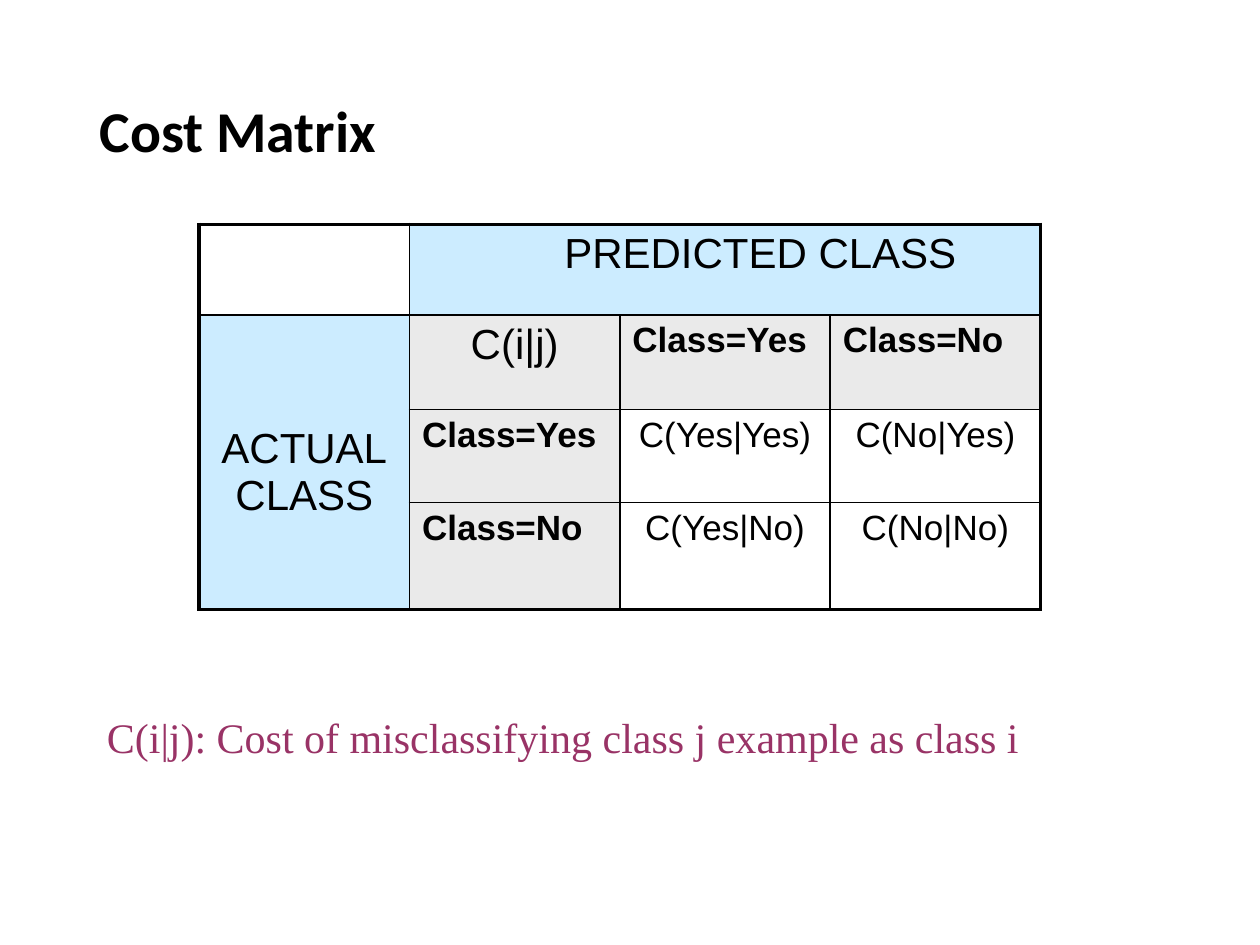
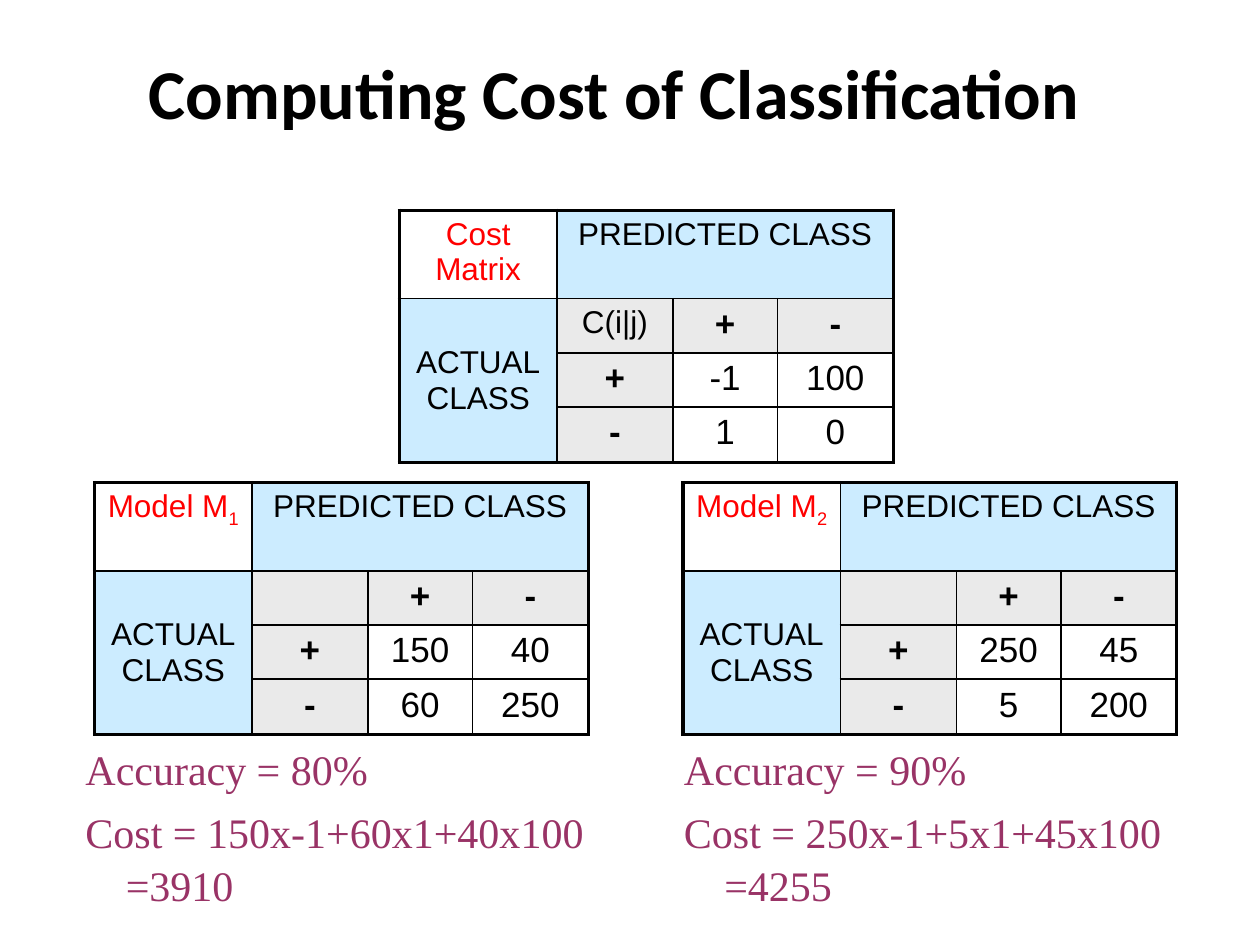
from lxml import etree
from pptx import Presentation
from pptx import util as u
from pptx.dml.color import RGBColor
from pptx.enum import text as t
from pptx.oxml.ns import qn

PX = 9144
COLOURS = {
    "ink": "000000",
    "paper": "FFFFFF",
    "class_band": "CCECFF",
    "label": "EAEAEA",
    "corner": "FF0000",
    "note": "993366",
}
CELL_FORMATS = {
    "corner": {"colour": "corner", "fill": "paper"},
    "band": {"colour": "ink", "fill": "class_band"},
    "symbol": {"colour": "ink", "fill": "label"},
    "label": {"colour": "ink", "fill": "label", "bold": True},
    "value": {"colour": "ink", "fill": "paper"},
}
CENTRE, LEFT = t.PP_ALIGN.CENTER, t.PP_ALIGN.LEFT


def px(length):
    return u.Emu(length * PX)


def colour(name):
    return RGBColor.from_string(COLOURS[name])


def set_all(target, values):
    for name, value in values.items():
        setattr(target, name, value)


class Deck:
    def __init__(self):
        self.presentation = Presentation()
        set_all(self.presentation, {"slide_width": px(1000), "slide_height": px(750)})
        self.slide = None

    def fill_paragraph(self, paragraph, content, size, font="Arial", ink="ink",
                       bold=False, align=LEFT):
        base, _, subscript = content.partition("_")
        paragraph.text = base
        paragraph.alignment = align
        if subscript:
            run = paragraph.add_run()
            run.text = subscript
            run.font._element.set("baseline", "-25000")
        for run in paragraph.runs:
            set_all(run.font, {"name": font, "size": u.Pt(size), "bold": bold})
            run.font.color.rgb = colour(ink)

    def add_slide(self, heading, box, size):
        self.slide = self.presentation.slides.add_slide(self.presentation.slide_layouts[5])
        title = self.slide.shapes.title
        set_all(title, dict(zip(("left", "top", "width", "height"), map(px, box))))
        set_all(title.text_frame, {
            "vertical_anchor": t.MSO_ANCHOR.MIDDLE,
            "auto_size": t.MSO_AUTO_SIZE.NONE,
        })
        self.fill_paragraph(title.text_frame.paragraphs[0], heading, size, "Calibri", bold=True)

    def add_note(self, box, lines):
        frame = self.slide.shapes.add_textbox(*map(px, box)).text_frame
        frame.word_wrap = True
        for index, line in enumerate(lines):
            paragraph = frame.add_paragraph() if index else frame.paragraphs[0]
            self.fill_paragraph(paragraph, line, 24, "Times New Roman", "note")
            set_all(paragraph, {"line_spacing": 1.05, "space_after": u.Pt(6)})
            properties = paragraph._p.get_or_add_pPr()
            properties.set("marL", str(px(32)))
            properties.set("indent", str(px(-32)))

    def add_borders(self, cell, row, column, last_row, last_column):
        bottom, right = row, column
        if cell.is_merge_origin:
            bottom += cell.span_height - 1
            right += cell.span_width - 1
        outer_edges = {
            "lnL": column == 0,
            "lnR": right == last_column,
            "lnT": row == 0,
            "lnB": bottom == last_row,
        }
        properties = cell._tc.get_or_add_tcPr()
        for side, outer in outer_edges.items():
            if cell.is_spanned and not outer:
                continue
            width = u.Pt(2.25 if outer else 1)
            line = etree.SubElement(properties, qn(f"a:{side}"), w=str(width))
            fill = etree.SubElement(line, qn("a:solidFill"))
            etree.SubElement(fill, qn("a:srgbClr"), val=COLOURS["ink"])

    def cell_kind(self, row, column):
        if row == 0 or column == 0:
            return "band" if row or column else "corner"
        if row == 1 and column == 1:
            return "symbol"
        return "label" if row == 1 or column == 1 else "value"

    def add_matrix(self, left, top, columns, rows, corner, symbol, classes, values,
                   band_size, label_align=CENTRE, band_shift=0, actual_shift=0):
        content = [
            [corner, "PREDICTED CLASS", "", ""],
            ["ACTUAL\vCLASS", symbol, *classes],
            *(["", name, *line] for name, line in zip(classes, values)),
        ]
        table = self.slide.shapes.add_table(
            len(rows), len(columns), px(left), px(top), px(sum(columns)), px(sum(rows))).table
        set_all(table, {"first_row": False, "horz_banding": False})
        for column, width in zip(table.columns, columns):
            column.width = px(width)
        for row, height in zip(table.rows, rows):
            row.height = px(height)
        table.cell(0, 1).merge(table.cell(0, 3))
        table.cell(1, 0).merge(table.cell(3, 0))
        for r, line in enumerate(content):
            for c, words in enumerate(line):
                cell = table.cell(r, c)
                kind = self.cell_kind(r, c)
                style = CELL_FORMATS[kind]
                self.add_borders(cell, r, c, len(rows) - 1, len(columns) - 1)
                cell.fill.solid()
                cell.fill.fore_color.rgb = colour(style["fill"])
                if words:
                    size = 20 if kind in ("label", "value") else band_size
                    self.fill_paragraph(cell.text_frame.paragraphs[0], words, size,
                                        ink=style["colour"], bold=style.get("bold", False),
                                        align=label_align if kind == "label" else CENTRE)
        table.cell(0, 1).margin_left = px(10 + band_shift)
        set_all(table.cell(1, 0), {
            "vertical_anchor": t.MSO_ANCHOR.MIDDLE,
            "margin_top": px(5 + actual_shift),
        })


def main():
    deck = Deck()
    deck.add_slide("Cost Matrix", (69, 30, 862, 145), 33)
    deck.add_matrix(
        158, 178, [167] * 4, [72, 75, 74, 85], "", "C(i|j)", ["Class=Yes", "Class=No"],
        [["C(Yes|Yes)", "C(No|Yes)"], ["C(Yes|No)", "C(No|No)"]],
        band_size=24, label_align=LEFT, band_shift=56, actual_shift=16)
    deck.add_note((75, 558, 858, 100),
                  ["C(i|j): Cost of misclassifying class j example as class i"])

    deck.add_slide("Computing Cost of Classification", (108, 25, 825, 96), 40)
    matrices = [
        (317, 167, "Cost Matrix", "C(i|j)", [["-1", "100"], ["1", "0"]]),
        (75, 383, "Model M_1", "", [["150", "40"], ["60", "250"]]),
        (542, 383, "Model M_2", "", [["250", "45"], ["5", "200"]]),
    ]
    for left, top, corner, symbol, values in matrices:
        deck.add_matrix(left, top, [125, 92, 83, 92], [70, 43, 43, 44],
                        corner, symbol, ["+", "-"], values, band_size=18)
    deck.add_note((58, 583, 458, 108), ["Accuracy = 80%", "Cost = 150x-1+60x1+40x100 =3910"])
    deck.add_note((533, 583, 467, 108), ["Accuracy = 90%", "Cost = 250x-1+5x1+45x100 =4255"])
    deck.presentation.save("out.pptx")


if __name__ == "__main__":
    main()
